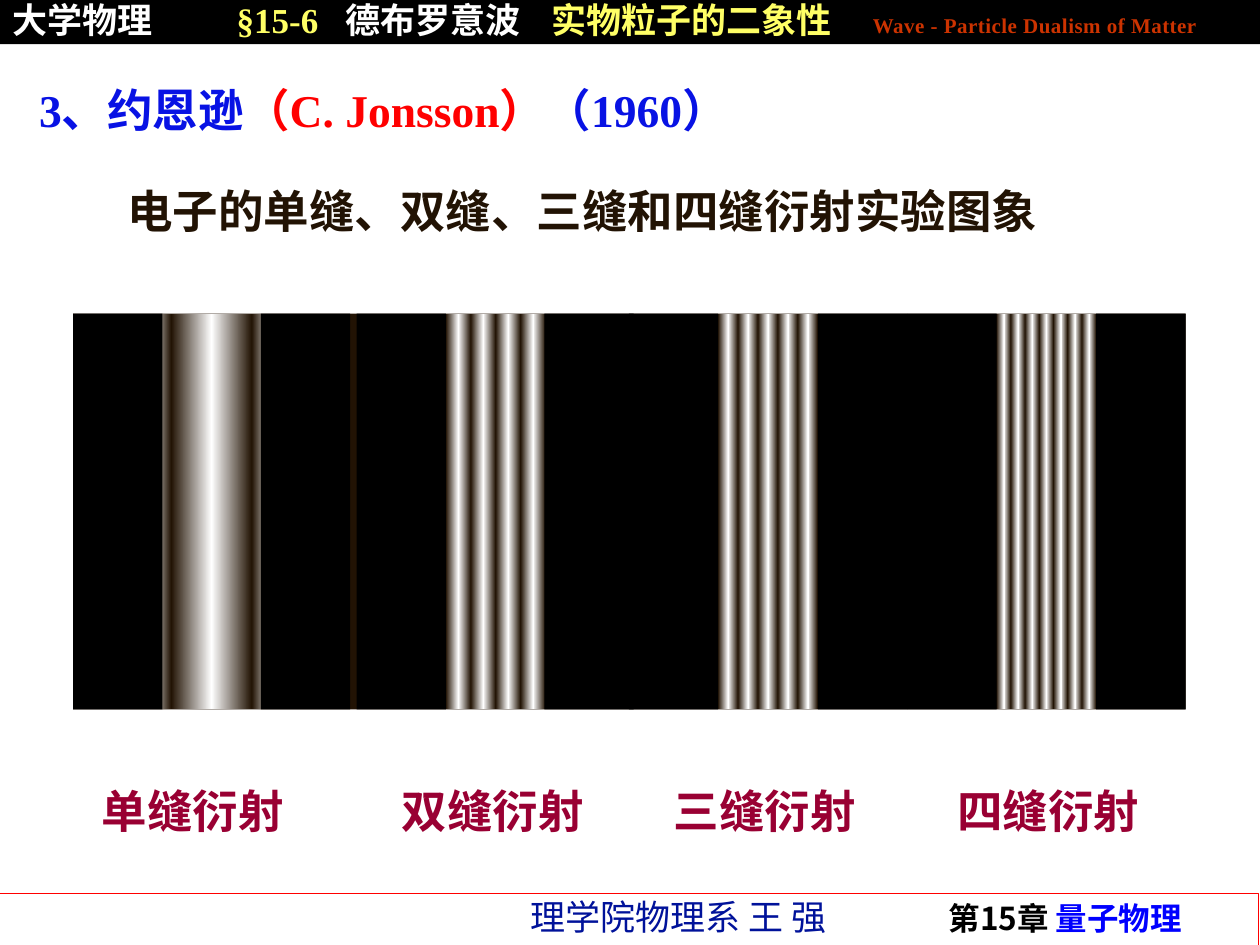
from lxml.etree import SubElement
from pptx import Presentation
from pptx.dml.color import RGBColor
from pptx.enum.shapes import MSO_SHAPE
from pptx.enum.text import MSO_ANCHOR, MSO_AUTO_SIZE, PP_ALIGN
from pptx.oxml.ns import qn
from pptx.util import Pt

SCALE = 9144
CJK = "Noto Sans CJK SC"
ROMAN = "Times New Roman"
WHITE = RGBColor(0xFF, 0xFF, 0xFF)
BLACK = RGBColor(0x00, 0x00, 0x00)
RED = RGBColor(0xFF, 0x00, 0x00)
RUST = RGBColor(0xCC, 0x33, 0x00)
YELLOW = RGBColor(0xFF, 0xFF, 0x66)
NAVY = RGBColor(0x00, 0x12, 0x9A)
BLUE = RGBColor(0x00, 0x00, 0xFF)
TITLE_BLUE = RGBColor(0x08, 0x12, 0xE4)
BROWN = RGBColor(0x22, 0x13, 0x04)
CRIMSON = RGBColor(0x99, 0x00, 0x33)

SCREEN_WIDTH = 71
SLIT_WIDTH = 79
CAPTION_SIZE = 26


def px(*lengths):
    """Turn px lengths into a list of EMU."""
    return [round(length * SCALE) for length in lengths]


def add_block(shapes, box, color, line=None):
    """Add a plain rectangle in the given box."""
    block = shapes.add_shape(MSO_SHAPE.RECTANGLE, *px(*box))
    block.shadow.inherit = False
    block.fill.solid()
    block.fill.fore_color.rgb = color
    if line is None:
        block.line.fill.background()
    else:
        block.line.color.rgb = line
        block.line.width = Pt(0.75)
    return block


def add_fringe(shapes, box):
    """Add one bright fringe that fades to brown on both sides."""
    fringe = add_block(shapes, box, BROWN)
    fringe.fill.gradient()
    fringe.fill.gradient_angle = 0
    stop_list = fringe.fill._fill._gradFill.find(qn("a:gsLst"))
    stop_list.clear()
    for position, color in ((0, BROWN), (50, WHITE), (100, BROWN)):
        stop = SubElement(stop_list, qn("a:gs"), pos=str(position * 1000))
        SubElement(stop, qn("a:srgbClr"), val=str(color))


def write_line(shape, spans, size, font_name, bold=True, align=PP_ALIGN.LEFT,
               spacing=1.0, tabs=(), wrap=True, anchor=MSO_ANCHOR.TOP):
    """Write one paragraph of coloured spans and return its runs."""
    frame = shape.text_frame
    frame.word_wrap = wrap
    frame.auto_size = MSO_AUTO_SIZE.NONE
    frame.vertical_anchor = anchor
    para = frame.paragraphs[0]
    para.alignment = align
    para.line_spacing = spacing
    para.space_before = Pt(0)
    if tabs:
        tab_list = SubElement(para._p.get_or_add_pPr(), qn("a:tabLst"))
        for position in tabs:
            SubElement(tab_list, qn("a:tab"), pos=str(position * SCALE), algn="l")
    para.font.size = Pt(size)
    para.font.bold = bold
    para.font.name = font_name
    SubElement(para._p.pPr.find(qn("a:defRPr")), qn("a:ea"), typeface=CJK)
    runs = []
    for text, color in spans:
        span = para.add_run()
        span.text = text
        span.font.color.rgb = color
        runs.append(span)
    return runs


def add_line(page, box, spans, size, font_name=CJK, **options):
    """Add a text box holding one line."""
    write_line(page.shapes.add_textbox(*px(*box)), spans, size, font_name, **options)


def add_header(page, box):
    """Add the black bar with course and section names."""
    bar = add_block(page.shapes, box, BLACK)
    spans = [("大学物理\t", WHITE), ("§15-6\t", YELLOW), ("德布罗意波\t", WHITE),
             ("实物粒子的二象性\t", YELLOW),
             ("Wave - Particle Dualism of Matter", RUST)]
    runs = write_line(bar, spans, 20, ROMAN, spacing=0.8, tabs=(178, 264, 428, 683))
    english = runs[-1]
    english.font.size = Pt(12)
    english._r.get_or_add_rPr().set("spc", "27")


def add_title(page, box):
    """Place and format the title."""
    title = page.shapes.title
    title.left, title.top, title.width, title.height = px(*box)
    spans = [("3、约恩逊", TITLE_BLUE), ("（C. Jonsson）", RED), ("（1960）", TITLE_BLUE)]
    write_line(title, spans, CAPTION_SIZE, ROMAN)


def add_pattern(page, box, slit_left, fringes):
    """Add fringes, given as offset and width, between two dark screens."""
    left, top, width, height = box
    shapes = page.shapes.add_group_shape().shapes
    for offset, fringe_width in fringes:
        add_fringe(shapes, (slit_left + offset, top, fringe_width, height))
    for screen_left in (left, left + width - SCREEN_WIDTH):
        add_block(shapes, (screen_left, top, SCREEN_WIDTH, height), BLACK)


def even_fringes(count):
    """Divide the slit into equal fringes."""
    step = SLIT_WIDTH / count
    return [(index * step, step) for index in range(count)]


def add_patterns(page, box):
    """Add the four diffraction patterns on their brown backing."""
    left, top, width, height = box
    add_block(page.shapes, box, BROWN)
    central, side = 64, 36
    single = [(7, central), (7 + central, side), (7 - side, side)]
    patterns = ((0, 220, single), (441, 221, even_fringes(5)),
                (225, 220, even_fringes(4)), (662, 221, even_fringes(7)))
    for offset, pattern_width, fringes in patterns:
        pattern_left = left + offset
        add_pattern(page, (pattern_left, top, pattern_width, height),
                    pattern_left + SCREEN_WIDTH, fringes)


def add_captions(page, box):
    """Name each pattern below it."""
    left, top, width, height = box
    captions = ((0, "单缝衍射"), (238, "双缝衍射"), (454, "三缝衍射"), (679, "四缝衍射"))
    for offset, text in captions:
        add_line(page, (left + offset, top, width, height), [(text, CRIMSON)],
                 CAPTION_SIZE, spacing=1.1)


def add_footer(page, box):
    """Add the footer strip with author and chapter."""
    left, top, width, height = box
    add_block(page.shapes, box, WHITE, RED)
    add_line(page, (left + 412, top - 3, 270, 44), [("理学院物理系 王 强", NAVY)], 20,
             bold=False, wrap=False)
    add_line(page, (left + 692, top + 5, 309, 34),
             [("第15章", BLACK), (" 量子物理", BLUE)], 18,
             align=PP_ALIGN.CENTER, spacing=0.8)


def main():
    """Build the slide and save it."""
    deck = Presentation()
    deck.slide_width, deck.slide_height = px(1000, 750)
    page = deck.slides.add_slide(deck.slide_layouts[5])
    add_footer(page, (-1, 709, 1000, 42))
    add_header(page, (0, 0, 1000, 35))
    add_title(page, (21, 60, 924, 54))
    add_line(page, (91, 136, 842, 58),
             [("电子的单缝、双缝、三缝和四缝衍射实验图象", BROWN)], CAPTION_SIZE, spacing=1.1)
    add_patterns(page, (58, 249, 883, 314))
    add_captions(page, (71, 612, 201, 58))
    deck.save("out.pptx")


if __name__ == "__main__":
    main()
